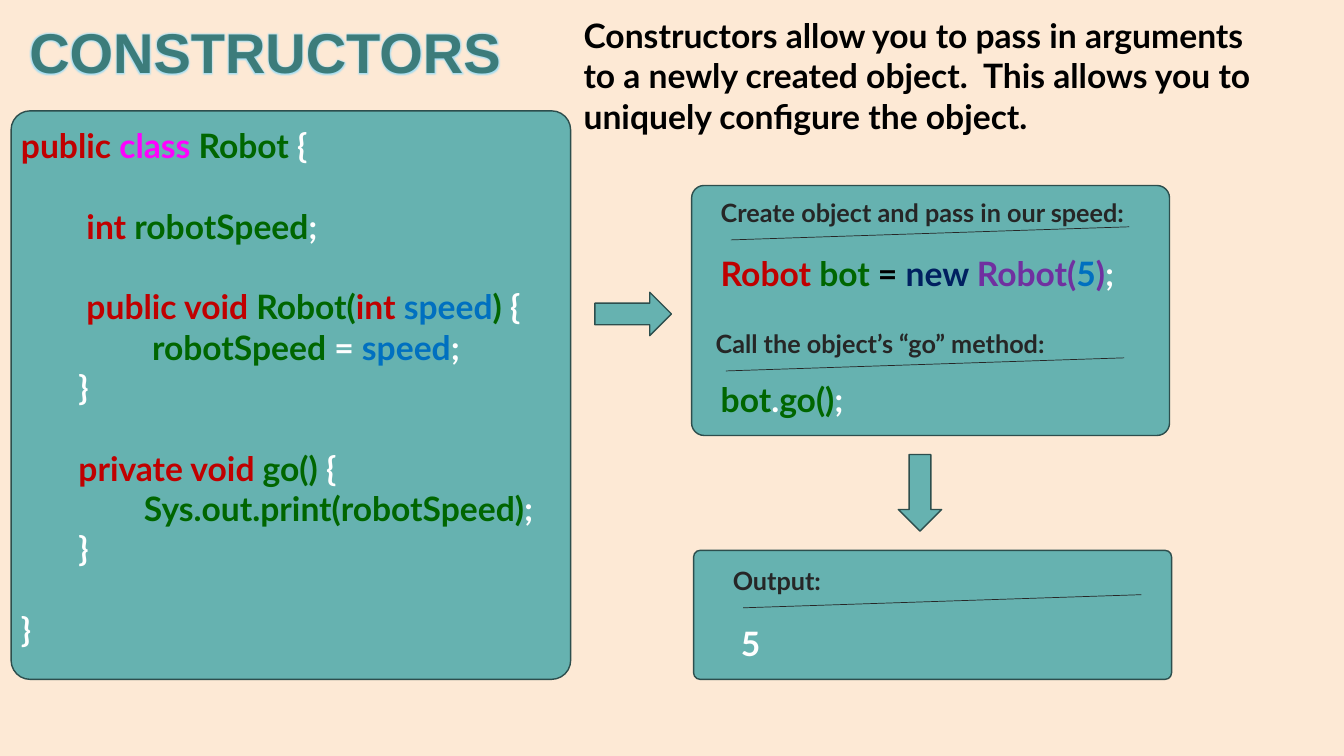
from lxml import etree
from pptx import Presentation
from pptx.dml.color import RGBColor
from pptx.enum import shapes, text
from pptx.oxml import ns
from pptx.util import Inches, Pt

TEAL, OUTLINE, CREAM = "66B2B0", "2D4E4D", "FDE9D5"
TITLE, GLOW, DARK = "3C7C7B", "A5DDF2", "262626"
BLACK, WHITE, RED, GREEN = "000000", "FFFFFF", "C00000", "006600"
BLUE, NAVY, PURPLE, PINK = "0070C0", "002060", "7030A0", "FF00FF"

STEP = 0.65    # one level of code indentation
NUDGE = 0.08   # width of one space
BLANK = 28.8   # height of one code line in points

# Each code line: indentation, space before, coloured pieces
ROBOT_CLASS = [
    (0, 0, [("public ", RED), ("class ", PINK), ("Robot ", GREEN), ("{", WHITE)]),
    (STEP, BLANK, [("int ", RED), ("robotSpeed", GREEN), (";", WHITE)]),
    (STEP, BLANK, [("public void ", RED), ("Robot(", GREEN), ("int ", RED),
                   ("speed", BLUE), (") ", GREEN), ("{", WHITE)]),
    (2 * STEP, 0, [("robotSpeed ", GREEN), ("= ", WHITE), ("speed", BLUE), (";", WHITE)]),
    (STEP - NUDGE, 0, [("}", WHITE)]),
    (STEP - NUDGE, BLANK, [("private void ", RED), ("go() ", GREEN), ("{", WHITE)]),
    (2 * STEP - NUDGE, 0, [("Sys.out.print(robotSpeed)", GREEN), (";", WHITE)]),
    (STEP - NUDGE, 0, [("}", WHITE)]),
    (0, BLANK, [("}", WHITE)]),
]
CREATE_ROBOT = [(0, 0, [("Robot ", RED), ("bot", GREEN), (" = ", BLACK), ("new ", NAVY),
                        ("Robot(", PURPLE), ("5", BLUE), (")", PURPLE), (";", WHITE)])]
CALL_GO = [(0, 0, [("bot", GREEN), (".", WHITE), ("go()", GREEN), (";", WHITE)])]
RESULT = [(NUDGE, 0, [("5", WHITE)])]


def color(hex_string):
    return RGBColor.from_string(hex_string)


def add_run(paragraph, words, size=24, font="Lato", fill=BLACK, bold=True):
    run = paragraph.add_run()
    run.text = words
    run.font.size, run.font.name, run.font.bold = Pt(size), font, bold
    run.font.color.rgb = color(fill)
    return run


def add_text_frame(slide, left, top, width, height):
    box = slide.shapes.add_textbox(Inches(left), Inches(top), Inches(width), Inches(height))
    box.text_frame.word_wrap = True
    return box.text_frame


def add_code(slide, left, top, width, height, lines):
    frame = add_text_frame(slide, left, top, width, height)
    for number, (indent, space, pieces) in enumerate(lines):
        paragraph = frame.add_paragraph() if number else frame.paragraphs[0]
        paragraph.space_before = Pt(space)
        paragraph._p.get_or_add_pPr().set("marL", str(Inches(indent)))
        for words, fill in pieces:
            add_run(paragraph, words, fill=fill)


def add_teal_shape(slide, kind, left, top, width, height, corner=None):
    shape = slide.shapes.add_shape(kind, Inches(left), Inches(top), Inches(width), Inches(height))
    shape.shadow.inherit = False
    shape.fill.solid()
    shape.fill.fore_color.rgb = color(TEAL)
    shape.line.color.rgb = color(OUTLINE)
    shape.line.width = Pt(1)
    if corner is not None:
        shape.adjustments[0] = corner


def add_panel(slide, left, top, width, height, corner=0.05):
    add_teal_shape(slide, shapes.MSO_SHAPE.ROUNDED_RECTANGLE, left, top, width, height, corner)


def add_heading(slide, left, top, words):
    """Small heading with a slanted rule under it."""
    frame = add_text_frame(slide, left, top, 4.4, 0.4)
    add_run(frame.paragraphs[0], words, size=18, fill=DARK)
    rule = slide.shapes.add_connector(
        shapes.MSO_CONNECTOR.STRAIGHT, Inches(left + 0.2), Inches(top + 0.47),
        Inches(left + 4.15), Inches(top + 0.34))
    rule.line.color.rgb = color(DARK)
    rule.line.width = Pt(0.5)
    etree.SubElement(rule._element.spPr, ns.qn("a:effectLst"))


def add_title(slide, left, top, width, height):
    title = slide.shapes.title
    title.left, title.top = Inches(left), Inches(top)
    title.width, title.height = Inches(width), Inches(height)
    title.text_frame.vertical_anchor = text.MSO_ANCHOR.BOTTOM
    paragraph = title.text_frame.paragraphs[0]
    paragraph.alignment = text.PP_ALIGN.LEFT
    paragraph.line_spacing = 0.9
    run = add_run(paragraph, "CONSTRUCTORS", size=40, font="Arial", fill=TITLE)
    # Soft glow behind the letters, placed right after the fill
    effects = etree.Element(ns.qn("a:effectLst"))
    glow = etree.SubElement(effects, ns.qn("a:glow"), rad=str(Pt(3)))
    etree.SubElement(glow, ns.qn("a:srgbClr"), val=GLOW)
    run._r.rPr.find(ns.qn("a:solidFill")).addnext(effects)


def add_introduction(slide, left, top, width, height):
    frame = add_text_frame(slide, left, top, width, height)
    add_run(frame.paragraphs[0], "Constructors allow you to pass in arguments to a newly "
            "created object.  This allows you to uniquely configure the object.")


def add_class_panel(slide, left, top, width, height):
    add_panel(slide, left, top, width, height, corner=0.034)
    add_code(slide, left, top + 0.09, width - 0.11, 5.35, ROBOT_CLASS)


def add_usage_panel(slide, left, top, width, height):
    add_panel(slide, left, top, width, height)
    add_heading(slide, left + 0.19, top + 0.07, "Create object and pass in our speed:")
    add_code(slide, left + 0.19, top + 0.62, 4.35, 0.5, CREATE_ROBOT)
    add_heading(slide, left + 0.14, top + 1.37, "Call the object’s “go” method:")
    add_code(slide, left + 0.19, top + 1.87, 4.35, 0.5, CALL_GO)


def add_output_panel(slide, left, top, width, height):
    add_panel(slide, left, top, width, height)
    add_heading(slide, left + 0.29, top + 0.1, "Output:")
    add_code(slide, left + 0.29, top + 0.67, 4.35, 0.5, RESULT)


def main():
    presentation = Presentation()
    presentation.slide_width, presentation.slide_height = Inches(13.33), Inches(7.5)
    slide = presentation.slides.add_slide(presentation.slide_layouts[5])
    slide.background.fill.solid()
    slide.background.fill.fore_color.rgb = color(CREAM)

    # Title and introduction
    add_title(slide, 0.19, 0.1, 5.02, 0.8)
    add_introduction(slide, 5.69, 0.1, 7.06, 1.31)

    # Class, its use and the result, joined by arrows
    add_class_panel(slide, 0.11, 1.1, 5.55, 5.64)
    add_teal_shape(slide, shapes.MSO_SHAPE.RIGHT_ARROW, 5.9, 2.9, 0.76, 0.43)
    add_usage_panel(slide, 6.86, 1.84, 4.74, 2.48)
    add_teal_shape(slide, shapes.MSO_SHAPE.DOWN_ARROW, 8.91, 4.51, 0.43, 0.76)
    add_output_panel(slide, 6.88, 5.46, 4.74, 1.28)

    presentation.save("out.pptx")


if __name__ == "__main__":
    main()
